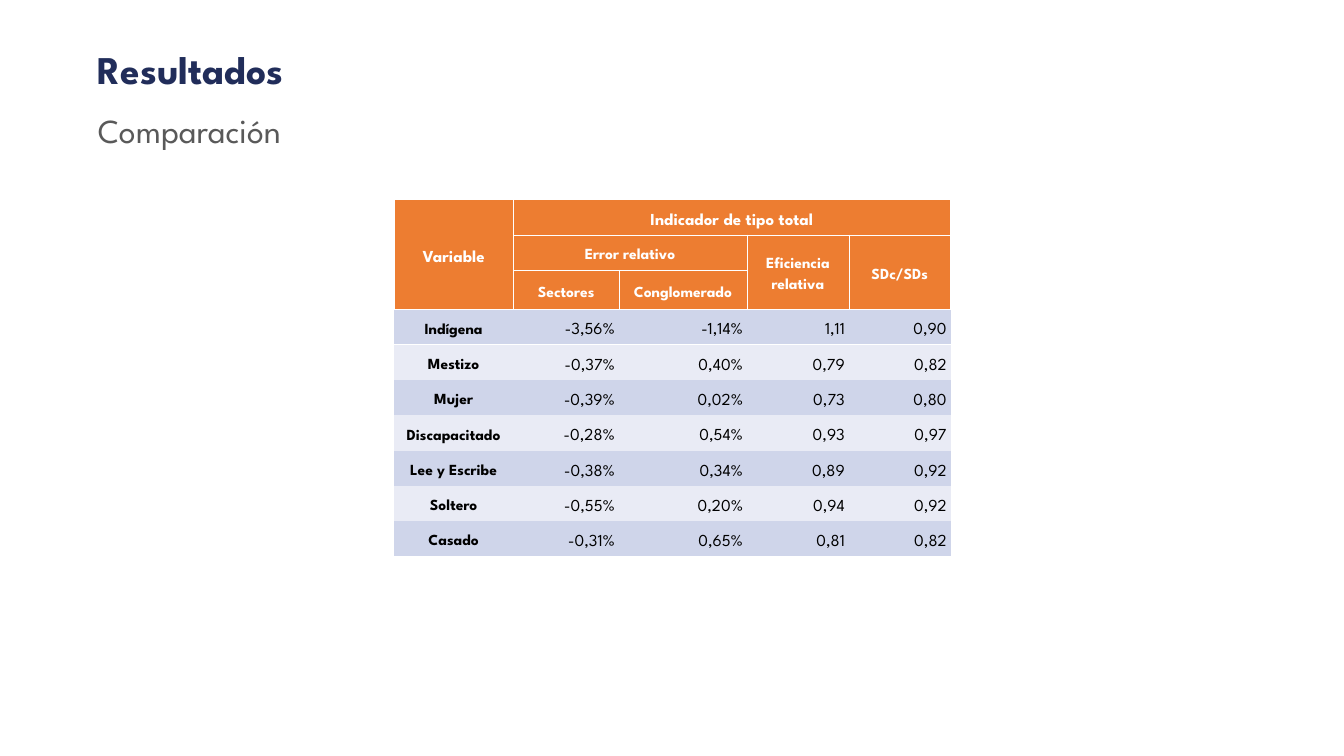
from dataclasses import dataclass

from lxml.etree import SubElement
from pptx import Presentation
from pptx.dml.color import RGBColor
from pptx.enum.text import MSO_ANCHOR, MSO_AUTO_SIZE, PP_ALIGN
from pptx.oxml import parse_xml
from pptx.oxml.ns import nsdecls, qn
from pptx.util import Inches, Pt


@dataclass(frozen=True)
class Theme:
    font: str = "League Spartan"
    navy: str = "212D5A"
    gray: str = "595959"
    white: str = "FFFFFF"
    black: str = "000000"
    orange: str = "ED7D31"
    bands: tuple[str, str] = ("CFD5EA", "E9EBF5")
    title: int = 28
    lead: int = 24
    large: int = 12
    small: int = 11
    rule: float = 0.5


@dataclass(frozen=True)
class Head:
    """A header cell with its grid place and span."""
    text: str
    row: int
    col: int
    size: int
    rows: int = 1
    cols: int = 1


@dataclass(frozen=True)
class Record:
    name: str
    values: tuple[str, str, str, str]


THEME = Theme()
NO_STYLE = "{2D5ABB26-0587-4C30-8999-92F81FD0307C}"
WIDTHS = (1.18, 1.05, 1.27, 1.01, 1.01)
HEADS = (
    Head("Variable", 0, 0, THEME.large, rows=3),
    Head("Indicador de tipo total", 0, 1, THEME.large, cols=4),
    Head("Error relativo", 1, 1, THEME.small, cols=2),
    Head("Eficiencia relativa", 1, 3, THEME.small, rows=2),
    Head("SDc/SDs", 1, 4, THEME.small, rows=2),
    Head("Sectores", 2, 1, THEME.small),
    Head("Conglomerado", 2, 2, THEME.small),
)
RECORDS = (
    Record("Indígena", ("-3,56%", "-1,14%", "1,11", "0,90")),
    Record("Mestizo", ("-0,37%", "0,40%", "0,79", "0,82")),
    Record("Mujer", ("-0,39%", "0,02%", "0,73", "0,80")),
    Record("Discapacitado", ("-0,28%", "0,54%", "0,93", "0,97")),
    Record("Lee y Escribe", ("-0,38%", "0,34%", "0,89", "0,92")),
    Record("Soltero", ("-0,55%", "0,20%", "0,94", "0,92")),
    Record("Casado", ("-0,31%", "0,65%", "0,81", "0,82")),
)
HEAD_ROWS = 3


def style_text(para, size: int, color: str, bold: bool) -> None:
    for run in para.runs:
        run.font.name = THEME.font
        run.font.size = Pt(size)
        run.font.bold = bold
        run.font.color.rgb = RGBColor.from_string(color)


def fill_holder(holder, text: str, top: float, height: float,
                size: int, color: str, bold: bool) -> None:
    holder.left, holder.top = Inches(0.87), Inches(top)
    holder.width, holder.height = Inches(9.18), Inches(height)
    frame = holder.text_frame
    frame.text = text
    frame.auto_size = MSO_AUTO_SIZE.NONE
    frame.vertical_anchor = MSO_ANCHOR.MIDDLE
    para = frame.paragraphs[0]
    props = para._p.get_or_add_pPr()
    props.set("marL", "0")
    props.set("indent", "0")
    SubElement(props, qn("a:buNone"))
    para.alignment = PP_ALIGN.LEFT
    para.line_spacing = 0.9
    para.space_before = Pt(0)
    style_text(para, size, color, bold)


def fill_cell(cell, text: str, size: int, color: str, bold: bool,
              align: PP_ALIGN = PP_ALIGN.CENTER) -> None:
    cell.text_frame.text = text
    cell.vertical_anchor = MSO_ANCHOR.MIDDLE
    cell.margin_left = cell.margin_right = Inches(0.04)
    cell.margin_top = cell.margin_bottom = 0
    para = cell.text_frame.paragraphs[0]
    para.alignment = align
    para.line_spacing = 1.5
    para.space_after = Pt(6)
    style_text(para, size, color, bold)


def paint_cell(cell, color: str, sides: str) -> None:
    """Fill a cell and rule the given sides, named from L, R, T and B."""
    cell.fill.solid()
    cell.fill.fore_color.rgb = RGBColor.from_string(color)
    props = cell._tc.get_or_add_tcPr()
    for spot, side in enumerate(sides):
        props.insert(spot, parse_xml(
            f'<a:ln{side} {nsdecls("a")} w="{Pt(THEME.rule)}"><a:solidFill>'
            f'<a:srgbClr val="{THEME.white}"/></a:solidFill></a:ln{side}>'))


def add_results(slide) -> None:
    count = HEAD_ROWS + len(RECORDS)
    frame = slide.shapes.add_table(
        count, len(WIDTHS), Inches(3.91), Inches(1.98),
        Inches(sum(WIDTHS)), Inches(3.54))
    table = frame.table
    table.first_row = table.horz_banding = False
    table._tbl.tblPr.find(qn("a:tableStyleId")).text = NO_STYLE
    for col, width in zip(table.columns, WIDTHS):
        col.width = Inches(width)
    for index, row in enumerate(table.rows):
        row.height = Inches(0.39 if index == HEAD_ROWS - 1 else 0.35)
        for cell in row.cells:
            if index < HEAD_ROWS:
                paint_cell(cell, THEME.orange, "LRTB")
            else:
                band = THEME.bands[(index - HEAD_ROWS) % 2]
                paint_cell(cell, band, "T" if index == HEAD_ROWS else "")
    for head in HEADS:
        cell = table.cell(head.row, head.col)
        if head.rows * head.cols > 1:
            cell.merge(table.cell(head.row + head.rows - 1,
                                  head.col + head.cols - 1))
        fill_cell(cell, head.text, head.size, THEME.white, True)
    for row, record in enumerate(RECORDS, HEAD_ROWS):
        fill_cell(table.cell(row, 0), record.name, THEME.small,
                  THEME.black, True)
        for col, value in enumerate(record.values, 1):
            fill_cell(table.cell(row, col), value, THEME.large,
                      THEME.black, False, PP_ALIGN.RIGHT)


def main() -> None:
    deck = Presentation()
    deck.slide_width, deck.slide_height = Inches(13.33), Inches(7.5)
    slide = deck.slides.add_slide(deck.slide_layouts[1])
    fill_holder(slide.shapes.title, "Resultados", 0.42, 0.58,
                THEME.title, THEME.navy, True)
    fill_holder(slide.placeholders[1], "Comparación", 1.04, 0.55,
                THEME.lead, THEME.gray, False)
    add_results(slide)
    deck.save("out.pptx")


if __name__ == "__main__":
    main()
